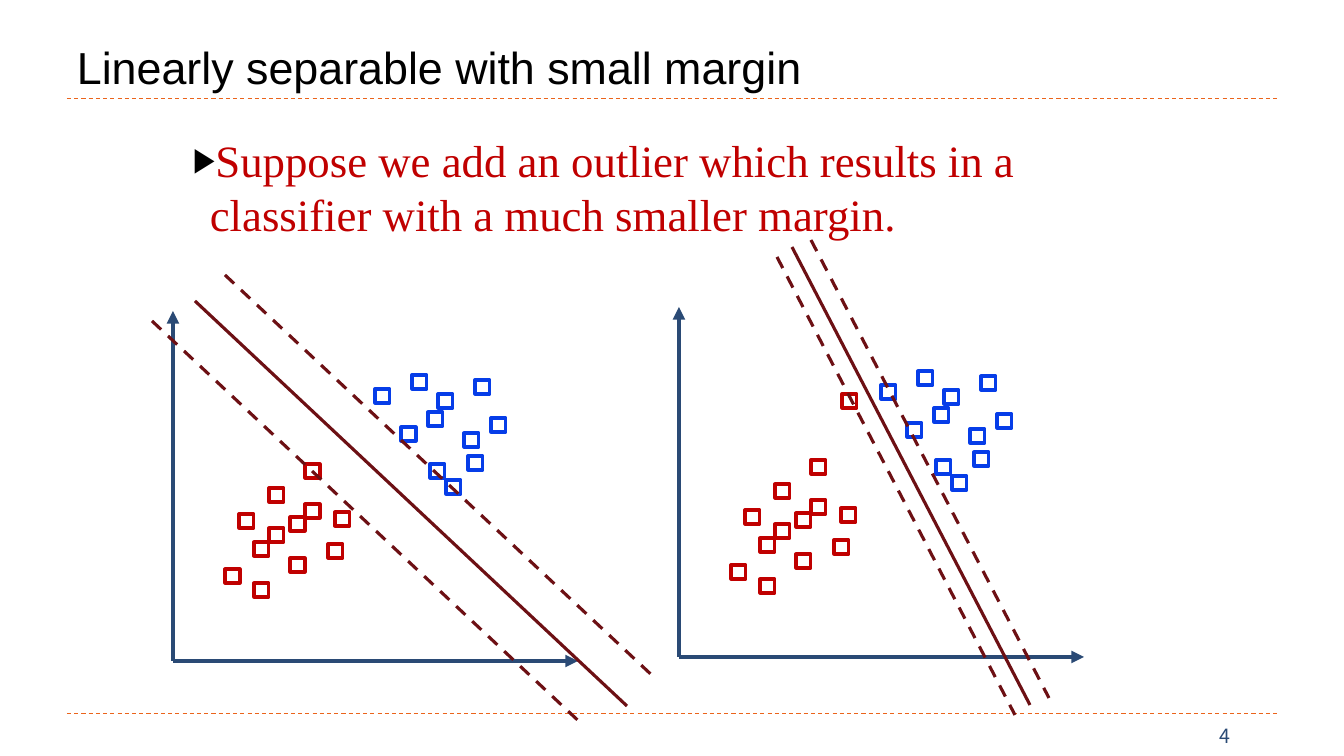
"""Build a slide on a linearly separable set whose outlier shrinks the margin."""
from lxml import etree
from pptx import Presentation
from pptx.dml.color import RGBColor
from pptx.enum.dml import MSO_LINE
from pptx.enum.shapes import MSO_CONNECTOR, MSO_SHAPE
from pptx.enum.text import MSO_ANCHOR
from pptx.oxml.ns import qn
from pptx.util import Pt

STRAIGHT, RECT = MSO_CONNECTOR.STRAIGHT, MSO_SHAPE.RECTANGLE
DASH = MSO_LINE.DASH
TOP, MIDDLE, BOTTOM = MSO_ANCHOR.TOP, MSO_ANCHOR.MIDDLE, MSO_ANCHOR.BOTTOM
BLACK = RGBColor(0, 0, 0)
RED = RGBColor(0xC0, 0, 0)
BLUE = RGBColor(0x06, 0x3D, 0xE8)
NAVY = RGBColor(0x2A, 0x4A, 0x75)
MAROON = RGBColor(0x6D, 0x10, 0x14)
ORANGE = RGBColor(0xEB, 0x64, 0x1B)

PX = 914400 / 100.8
WIDTH, HEIGHT = 1344, 756
RULES_Y = (99, 714)
RULE_X = (67, 1277)
TITLE = "Linearly separable with small margin"
BODY = ("Suppose we add an outlier which results in a "
        "classifier with a much smaller margin.")
TEXTS = [
    (TITLE, (67, 17, 1210, 81), BOTTOM, True,
     {"name": "Arial", "size": Pt(32)}, BLACK, False),
    (BODY, (183, 128, 907, 494), TOP, True,
     {"name": "Times New Roman", "size": Pt(32)}, RED, True),
    ("4", (1210, 719, 41, 34), MIDDLE, False,
     {"name": "Noto Sans CJK SC", "size": Pt(14)}, NAVY, False),
]

AXIS_X, AXIS_Y = 405, 350
MARKER = (15, 14)
RED_POINTS = [(52, -92), (81, -78), (81, -119), (117, -103), (117, -144),
              (66, -147), (96, -133), (96, -173), (132, -157), (132, -197),
              (155, -117), (162, -149)]
OUTLIER = (163, -263)
BLUE_POINTS = [(202, -272), (239, -286), (255, -249), (228, -234),
               (265, -267), (302, -281), (318, -243), (291, -228),
               (257, -197), (273, -181), (295, -205)]
PLOTS = [
    {"origin": (173, 661), "red": RED_POINTS, "run": (432, 405),
     "boundary": (22, -360), "margins": [(-21, -340), (52, -386)]},
    {"origin": (679, 657), "red": RED_POINTS + [OUTLIER], "run": (238, 458),
     "boundary": (113, -410), "margins": [(132, -417), (98, -400)]},
]


def emu(*lengths):
    return [round(v * PX) for v in lengths]


def add_line(shapes, start, run, color, width, dash=None, arrow=False):
    end = (start[0] + run[0], start[1] + run[1])
    c = shapes.add_connector(STRAIGHT, *emu(*start, *end))
    c.line.color.rgb = color
    c.line.width = Pt(width)
    if dash:
        c.line.dash_style = dash
    if arrow:
        etree.SubElement(c.line._get_or_add_ln(), qn("a:tailEnd"), type="triangle")
    etree.SubElement(c._element.spPr, qn("a:effectLst"))


def add_bullet(p):
    pPr = p._p.get_or_add_pPr()
    indent, = emu(17)
    pPr.set("marL", str(indent))
    pPr.set("indent", str(-indent))
    clr = etree.SubElement(pPr, qn("a:buClr"))
    etree.SubElement(clr, qn("a:srgbClr"), val=str(BLACK))
    etree.SubElement(pPr, qn("a:buSzPct"), val="76000")
    etree.SubElement(pPr, qn("a:buFont"), typeface="Arial")
    etree.SubElement(pPr, qn("a:buChar"), char="▶")


def add_text(shapes, text, box, anchor, wrap, font, color, bullet):
    tf = shapes.add_textbox(*emu(*box)).text_frame
    tf.word_wrap = wrap
    tf.vertical_anchor = anchor
    p = tf.paragraphs[0]
    if bullet:
        add_bullet(p)
    r = p.add_run()
    r.text = text
    for key, value in font.items():
        setattr(r.font, key, value)
    r.font.color.rgb = color


def add_plot(shapes, plot):
    x0, y0 = plot["origin"]
    for run in ((AXIS_X, 0), (0, -AXIS_Y)):
        add_line(shapes, (x0, y0), run, NAVY, 3, arrow=True)
    for points, color in ((plot["red"], RED), (BLUE_POINTS, BLUE)):
        for x, y in points:
            sp = shapes.add_shape(RECT, *emu(x0 + x, y0 + y, *MARKER))
            sp.shadow.inherit = False
            sp.fill.background()
            sp.line.color.rgb = color
            sp.line.width = Pt(2.25)
    lines = [(plot["boundary"], None)] + [(m, DASH) for m in plot["margins"]]
    for (x, y), dash in lines:
        add_line(shapes, (x0 + x, y0 + y), plot["run"], MAROON, 2.25, dash)


def main():
    prs = Presentation()
    prs.slide_width, prs.slide_height = emu(WIDTH, HEIGHT)
    s = prs.slides.add_slide(prs.slide_layouts[6])
    left, right = RULE_X
    for y in RULES_Y:
        add_line(s.shapes, (left, y), (right - left, 0), ORANGE, 0.75, DASH)
    for item in TEXTS:
        add_text(s.shapes, *item)
    for plot in PLOTS:
        add_plot(s.shapes.add_group_shape().shapes, plot)
    prs.save("out.pptx")


if __name__ == "__main__":
    main()
